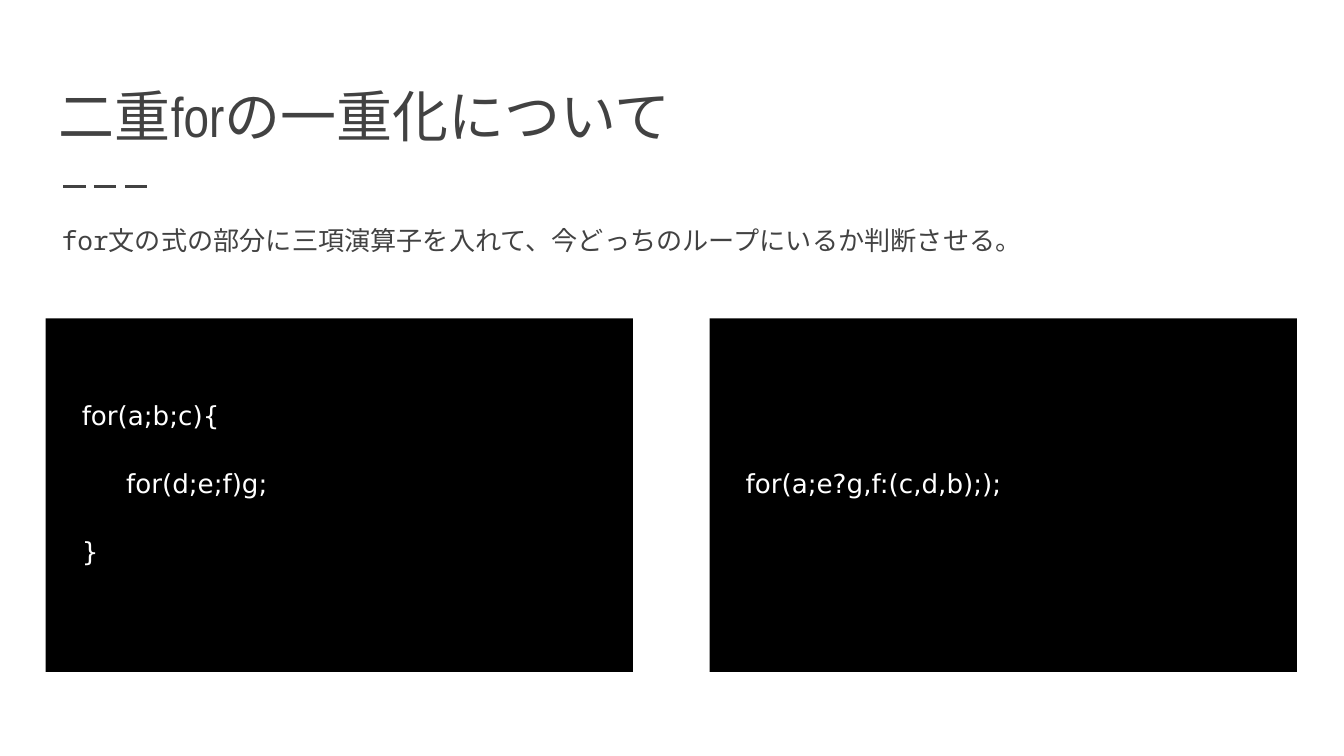
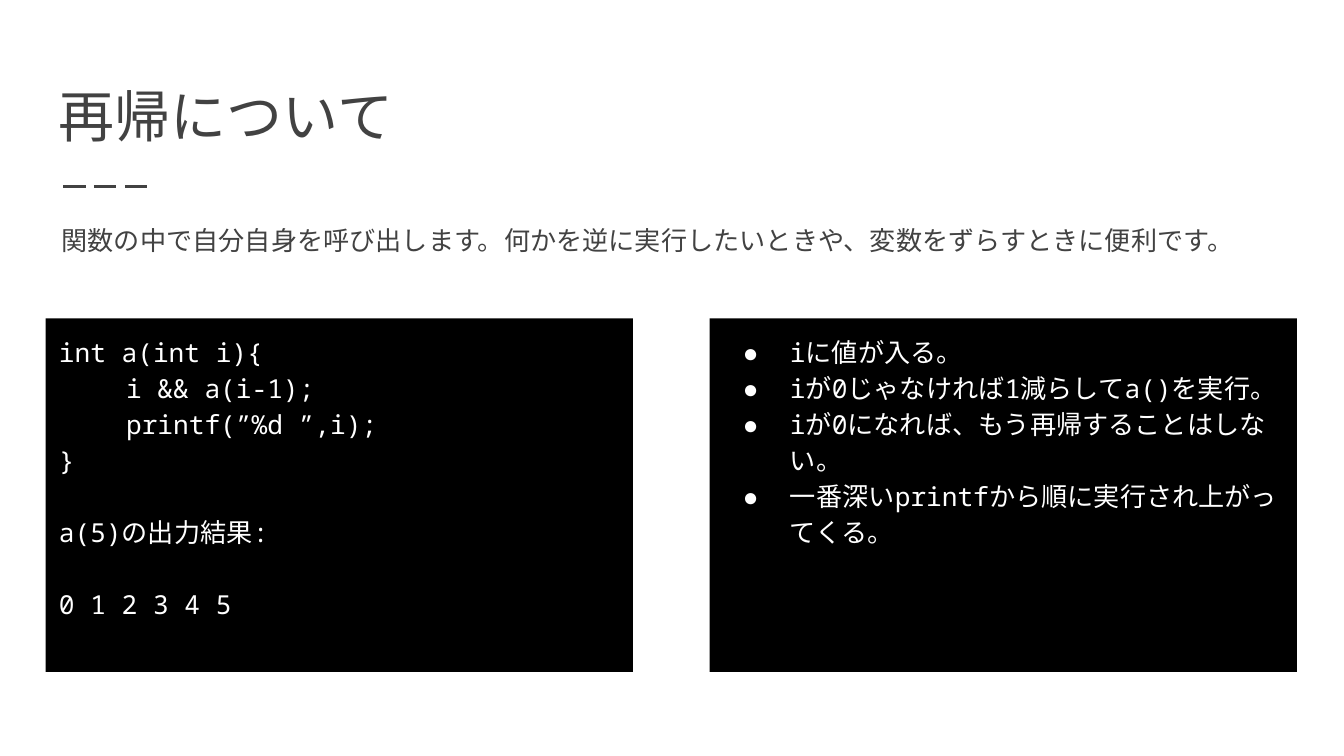
from dataclasses import dataclass
from typing import Any

from lxml.etree import SubElement
from pptx import Presentation
from pptx.dml.color import RGBColor
from pptx.enum.dml import MSO_LINE_DASH_STYLE as Dash
from pptx.enum.lang import MSO_LANGUAGE_ID as Language
from pptx.enum.shapes import MSO_CONNECTOR as Connector
from pptx.enum.shapes import MSO_SHAPE as Preset
from pptx.enum.text import MSO_ANCHOR as Anchor
from pptx.enum.text import PP_ALIGN as Align
from pptx.oxml.ns import qn
from pptx.slide import Slide
from pptx.text.text import TextFrame
from pptx.util import Inches, Pt


@dataclass(frozen=True)
class Theme:
    ink: RGBColor = RGBColor(0x42, 0x42, 0x42)
    panel: RGBColor = RGBColor(0, 0, 0)
    panel_text: RGBColor = RGBColor(0xFF, 0xFF, 0xFF)
    title_font: str = "Arial Narrow"
    mono_font: str = "Noto Sans Mono"
    code_font: str = "DejaVu Sans"
    title_size: int = 30
    body_size: int = 14
    inset: float = 0.1


THEME = Theme()


@dataclass(frozen=True)
class Style:
    font: str
    size: int
    color: RGBColor
    line_spacing: float = 1.0


@dataclass(frozen=True)
class Line:
    text: str
    before: float = 0  # points
    left: float = 0  # inches
    first: float = 0  # inches
    bullet: str = ""


@dataclass(frozen=True)
class Panel:
    style: Style
    lines: tuple[Line, ...]
    extra_top: float = 0  # inches


@dataclass(frozen=True)
class Page:
    title: str
    lead: str
    panels: tuple[Panel, Panel]


TITLE = Style(THEME.title_font, THEME.title_size, THEME.ink)
LEAD = Style(THEME.mono_font, THEME.body_size, THEME.ink)
CODE = Style(THEME.code_font, THEME.body_size, THEME.panel_text, 1.45)
MONO = Style(THEME.mono_font, THEME.body_size, THEME.panel_text, 1.15)

# Panel grid and row heights
PANEL_LEFT, PANEL_TOP, PANEL_STEP = 0.34, 2.37, 4.94
PANEL_WIDTH, PANEL_HEIGHT = 4.37, 2.63
CODE_START = 0.4  # inches, drop of the first code row
CODE_ROW = 0.5  # inches, one code row with its gap
CODE_GAP = 12
MONO_ROW = 19.3  # points, one row of monospaced text
TAB_STOP = 1  # inches


def code(text: str, first: float = 0) -> Line:
    return Line(text, CODE_GAP, 0.17, first)


def point(text: str) -> Line:
    return Line(text, left=0.5, first=-0.35, bullet="●")


PAGES = (
    Page(
        "二重forの一重化について",
        "for文の式の部分に三項演算子を入れて、今どっちのループにいるか判断させる。",
        (
            Panel(CODE, (code("for(a;b;c){"), code("for(d;e;f)g;", 0.33), code("}")),
                  CODE_START),
            Panel(CODE, (code("for(a;e?g,f:(c,d,b););"),), CODE_START + CODE_ROW),
        ),
    ),
    Page(
        "再帰について",
        "関数の中で自分自身を呼び出します。何かを逆に実行したいときや、変数をずらすときに便利です。",
        (
            Panel(MONO, (
                Line("int a(int i){"),
                Line("\ti && a(i-1);"),
                Line("\tprintf(”%d ”,i);"),
                Line("}"),
                Line("a(5)の出力結果:", MONO_ROW),
                Line("0 1 2 3 4 5", MONO_ROW),
            )),
            Panel(MONO, (
                point("iに値が入る。"),
                point("iが0じゃなければ1減らしてa()を実行。"),
                point("iが0になれば、もう再帰することはしない。"),
                point("一番深いprintfから順に実行され上がってくる。"),
            )),
        ),
    ),
)


def apply(target: Any, values: dict[str, Any]) -> None:
    for name, value in values.items():
        setattr(target, name, value)


def add_bullet(properties: Any, bullet: str, style: Style) -> None:
    color = SubElement(properties, qn("a:buClr"))
    SubElement(color, qn("a:srgbClr")).set("val", str(style.color))
    SubElement(properties, qn("a:buSzPts")).set("val", str(style.size * 100))
    SubElement(properties, qn("a:buFont")).set("typeface", style.font)
    SubElement(properties, qn("a:buChar")).set("char", bullet)


def add_tab_stop(properties: Any) -> None:
    stop = SubElement(SubElement(properties, qn("a:tabLst")), qn("a:tab"))
    stop.set("pos", str(Inches(TAB_STOP)))
    stop.set("algn", "l")


def write(frame: TextFrame, lines: tuple[Line, ...], style: Style,
          anchor: Anchor = Anchor.TOP, extra_top: float = 0) -> None:
    inset = Inches(THEME.inset)
    apply(frame, {
        "word_wrap": True, "vertical_anchor": anchor,
        "margin_left": inset, "margin_right": inset,
        "margin_top": Inches(THEME.inset + extra_top), "margin_bottom": inset,
    })
    for index, line in enumerate(lines):
        paragraph = frame.add_paragraph() if index else frame.paragraphs[0]
        apply(paragraph, {
            "alignment": Align.LEFT,
            "line_spacing": style.line_spacing,
            "space_before": Pt(line.before),
        })
        properties = paragraph._p.get_or_add_pPr()
        properties.set("marL", str(Inches(line.left)))
        properties.set("indent", str(Inches(line.first)))
        if line.bullet:
            add_bullet(properties, line.bullet, style)
        if line.text.startswith("\t"):
            add_tab_stop(properties)
        run = paragraph.add_run()
        run.text = line.text
        apply(run.font, {"name": style.font, "size": Pt(style.size),
                         "language_id": Language.JAPANESE})
        run.font.color.rgb = style.color
    # The top margin alone places the first line
    frame.paragraphs[0].space_before = Pt(0)


def add_text(slide: Slide, text: str, style: Style, left: float, top: float,
             height: float, anchor: Anchor = Anchor.TOP) -> None:
    box = slide.shapes.add_textbox(Inches(left), Inches(top), Inches(9.32), Inches(height))
    write(box.text_frame, (Line(text),), style, anchor)


def add_title_rule(slide: Slide) -> None:
    rule = slide.shapes.add_connector(
        Connector.STRAIGHT, Inches(0.47), Inches(1.39), Inches(1.14), Inches(1.39))
    apply(rule.line, {"width": Pt(1.5), "dash_style": Dash.LONG_DASH})
    rule.line.color.rgb = THEME.ink
    SubElement(rule._element.spPr, qn("a:effectLst"))


def add_panel(slide: Slide, panel: Panel, column: int) -> None:
    shape = slide.shapes.add_shape(
        Preset.RECTANGLE, Inches(PANEL_LEFT + column * PANEL_STEP), Inches(PANEL_TOP),
        Inches(PANEL_WIDTH), Inches(PANEL_HEIGHT))
    shape.shadow.inherit = False
    shape.fill.solid()
    shape.fill.fore_color.rgb = THEME.panel
    shape.line.fill.background()
    write(shape.text_frame, panel.lines, panel.style, extra_top=panel.extra_top)


def main() -> None:
    presentation = Presentation()
    width = Inches(10)
    # Widescreen, 16:9
    apply(presentation, {"slide_width": width, "slide_height": width * 9 // 16})
    for page in PAGES:
        slide = presentation.slides.add_slide(presentation.slide_layouts[6])
        # Heading
        add_title_rule(slide)
        add_text(slide, page.title, TITLE, 0.34, 0.41, 0.8, Anchor.BOTTOM)
        # Two panels side by side
        for column, panel in enumerate(page.panels):
            add_panel(slide, panel, column)
        # Lead sentence
        add_text(slide, page.lead, LEAD, 0.36, 1.57, 0.7)
    presentation.save("out.pptx")


if __name__ == "__main__":
    main()
